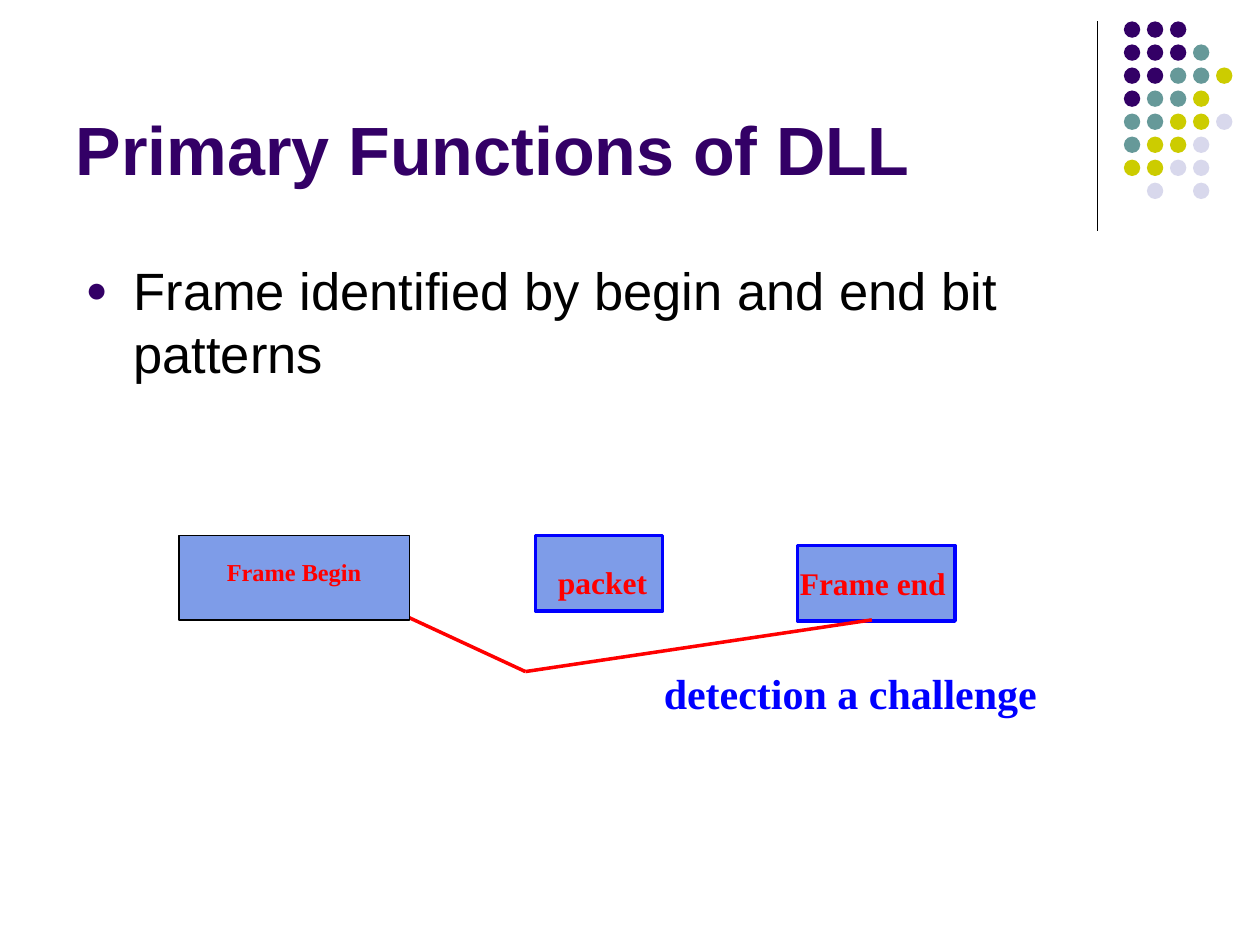
from lxml.etree import SubElement
from pptx import Presentation
from pptx.dml.color import RGBColor
from pptx.enum.shapes import MSO_CONNECTOR, MSO_SHAPE
from pptx.enum.text import MSO_ANCHOR, MSO_AUTO_SIZE, PP_ALIGN
from pptx.oxml.ns import qn
from pptx.util import Inches, Pt

PURPLE = RGBColor(0x33, 0x00, 0x66)
TEAL = RGBColor(0x66, 0x99, 0x99)
OLIVE = RGBColor(0xCC, 0xCC, 0x00)
LAVENDER = RGBColor(0xD8, 0xD8, 0xEC)
SKY = RGBColor(0x7E, 0x9C, 0xE8)
BLUE = RGBColor(0x00, 0x00, 0xFF)
RED = RGBColor(0xFF, 0x00, 0x00)
BLACK = RGBColor(0x00, 0x00, 0x00)

TITLE = "Primary Functions of DLL"
BULLET = "Frame identified by begin and end bit patterns"
TITLE_FONT = {"name": "Arial", "size": Pt(39), "bold": True}
BODY_FONT = {"name": "Arial", "size": Pt(30), "bold": False}
LABEL_FONT = {"name": "Times New Roman", "size": Pt(18), "bold": True}
LARGE_FONT = {**LABEL_FONT, "size": Pt(24)}

DOT_ROWS = ["PPP", "PPPT", "PPTTO", "PTTO", "TTOOL", "TOOL", "OOLL", " L L"]
DOT_COLORS = {"P": PURPLE, "T": TEAL, "O": OLIVE, "L": LAVENDER}
DOT_LEFT, DOT_TOP, DOT_SIZE, DOT_PITCH = 8.92, 0.17, 0.13, 1.28 / 7

# left, top, width, height
FRAME_PARTS = [(4.25, 4.25, 1.01, 0.6), (6.33, 4.33, 1.25, 0.6)]
FRAME_BEGIN = (1.42, 4.25, 1.83, 0.67)
MEETING_POINT = (4.17, 5.33)
LINE_STARTS = [(6.92, 4.92), (2.92, 4.75)]
# text, place, font, colour, space before
LABELS = [
    ("detection a challenge", (5.17, 5.25, 3.5, 0.5), LARGE_FONT, BLUE, 15),
    ("packet", (4.33, 4.42, 1.83, 0.4), LABEL_FONT, RED, 11.2),
    ("Frame end", (6.25, 4.43, 1.83, 0.4), LABEL_FONT, RED, 11.2),
]


def inches(values):
    return [Inches(value) for value in values]


def add_line(slide, start, end, color, width):
    line = slide.shapes.add_connector(MSO_CONNECTOR.STRAIGHT, *inches(start + end))
    line.line.color.rgb = color
    line.line.width = Pt(width)
    SubElement(line._element.spPr, qn("a:effectLst"))


def add_filled(slide, kind, place, fill, outline=None, width=1):
    shape = slide.shapes.add_shape(kind, *inches(place))
    shape.shadow.inherit = False
    shape.fill.solid()
    shape.fill.fore_color.rgb = fill
    if outline is None:
        shape.line.fill.background()
    else:
        shape.line.color.rgb = outline
        shape.line.width = Pt(width)
    return shape


def write(box, text, font, color):
    """Put one formatted line of text in the box and return its paragraph."""
    para = box.text_frame.paragraphs[0]
    span = para.add_run()
    span.text = text
    for name, value in font.items():
        setattr(span.font, name, value)
    span.font.color.rgb = color
    return para


def fill_placeholder(box, place, anchor, text, font, color):
    box.left, box.top, box.width, box.height = inches(place)
    box.text_frame.auto_size = MSO_AUTO_SIZE.NONE
    box.text_frame.vertical_anchor = anchor
    para = write(box, text, font, color)
    para.alignment = PP_ALIGN.LEFT
    return para


def add_bullet(para):
    properties = para._p.get_or_add_pPr()
    properties.set("marL", str(Inches(0.38)))
    properties.set("indent", str(Inches(-0.38)))
    color = SubElement(properties, qn("a:buClr"))
    SubElement(color, qn("a:srgbClr"), val=str(PURPLE))
    SubElement(properties, qn("a:buSzPct"), val="70000")
    SubElement(properties, qn("a:buFont"), typeface="Arial")
    SubElement(properties, qn("a:buChar"), char="●")


def add_dots(slide):
    for row, letters in enumerate(DOT_ROWS):
        for column, letter in enumerate(letters):
            if letter in DOT_COLORS:
                place = (DOT_LEFT + column * DOT_PITCH, DOT_TOP + row * DOT_PITCH,
                         DOT_SIZE, DOT_SIZE)
                add_filled(slide, MSO_SHAPE.OVAL, place, DOT_COLORS[letter])


def add_frame_diagram(slide):
    for place in FRAME_PARTS:
        add_filled(slide, MSO_SHAPE.RECTANGLE, place, SKY, BLUE, 2)
    for start in LINE_STARTS:
        add_line(slide, start, MEETING_POINT, RED, 2)
    for text, place, font, color, space in LABELS:
        box = slide.shapes.add_textbox(*inches(place))
        box.text_frame.word_wrap = True
        write(box, text, font, color).space_before = Pt(space)
    begin = add_filled(slide, MSO_SHAPE.RECTANGLE, FRAME_BEGIN, SKY, BLACK)
    begin.text_frame.word_wrap = False
    begin.text_frame.vertical_anchor = MSO_ANCHOR.MIDDLE
    para = write(begin, "Frame Begin", LARGE_FONT, RED)
    para.alignment = PP_ALIGN.CENTER
    para.runs[0]._r.get_or_add_rPr().set("baseline", "30000")


def main():
    deck = Presentation()
    deck.slide_width, deck.slide_height = Inches(10), Inches(7.5)
    slide = deck.slides.add_slide(deck.slide_layouts[1])
    title, body = slide.placeholders
    fill_placeholder(title, (0.5, 0.13, 8.25, 1.42), MSO_ANCHOR.BOTTOM,
                     TITLE, TITLE_FONT, PURPLE)
    para = fill_placeholder(body, (0.58, 2, 8.5, 4.5), MSO_ANCHOR.TOP,
                            BULLET, BODY_FONT, BLACK)
    para.space_before = Pt(7.5)
    add_bullet(para)
    add_line(slide, (8.71, 0.17), (8.71, 1.83), BLACK, 0.75)
    add_dots(slide)
    add_frame_diagram(slide)
    deck.save("out.pptx")


if __name__ == "__main__":
    main()
